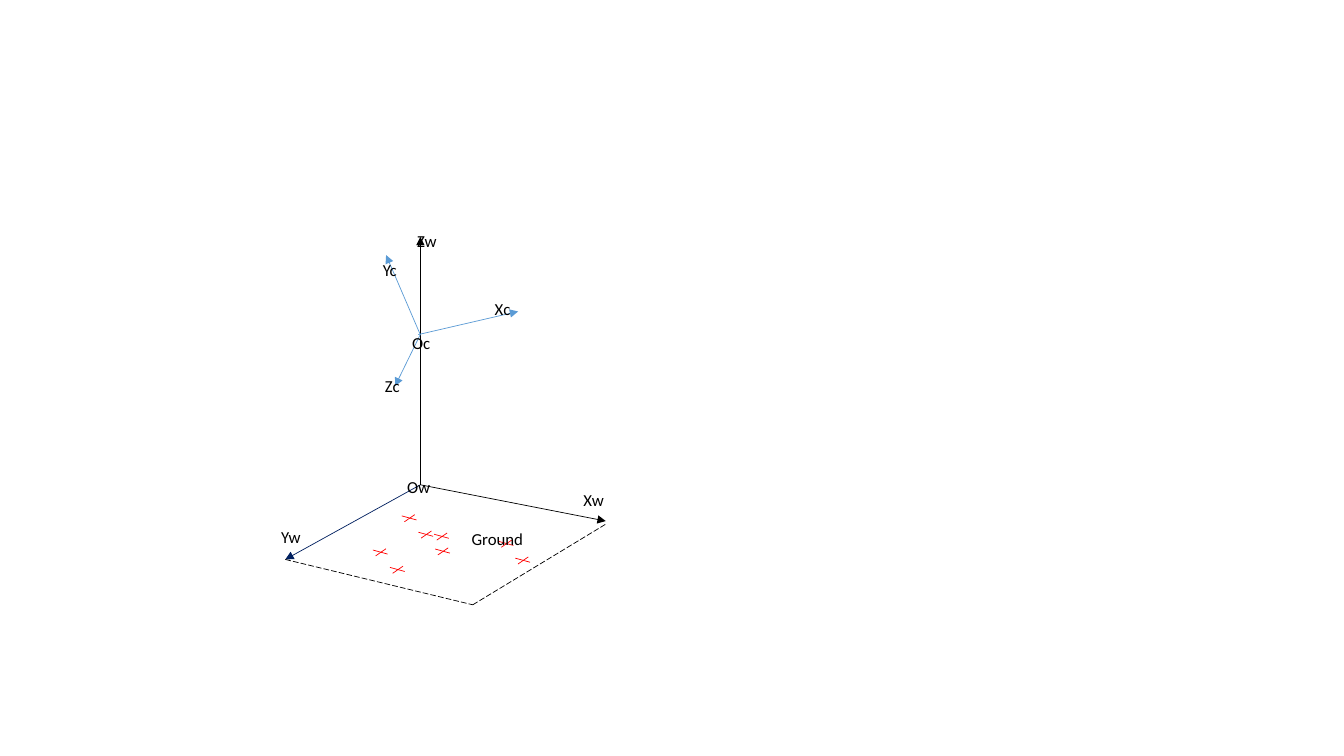
from lxml import etree
from pptx import Presentation
from pptx.dml.color import RGBColor
from pptx.enum import dml, shapes, text
from pptx.oxml.ns import qn
from pptx.util import Pt

INK = {"black": "000000", "navy": "002060", "blue": "5B9BD5", "red": "FF0000"}

# World and camera frames: start, tip, colour
WORLD = (300.3, 346.3)
CAMERA = (300.2, 239)
X_TIP, Y_TIP = (432.7, 372.2), (203.8, 399.6)
AXES = [
    (WORLD, X_TIP, "black"),
    (WORLD, Y_TIP, "navy"),
    (WORLD, (300.3, 169.2), "black"),
    ((298.8, 239), (370.1, 222.5), "blue"),
    (CAMERA, (275.8, 182.2), "blue"),
    (CAMERA, (282.2, 275.8), "blue"),
]

# Label: words, left, top, width
LABELS = [
    ("Xc", 346.3, 210.2, 32.4),
    ("Yc", 266.4, 182.2, 32.4),
    ("Zc", 267.8, 265, 32.4),
    ("Zw", 290.9, 161.3, 38.9),
    ("Xw", 409.7, 346.3, 65.5),
    ("Yw", 193.7, 373, 65.5),
    ("Ow", 283.7, 337, 65.5),
    ("Oc", 287.3, 234, 65.5),
]
GROUND = ("Ground", 329.8, 374.4, 70.6)

# Far edges of the ground plane
CORNER = (337.7, 432)
EDGES = [(Y_TIP, CORNER), (CORNER, (432.7, 374.4))]

# Left end of each ground mark, and the two strokes relative to it
MARKS = [
    (266.4, 392.9), (278.6, 405.3), (310.1, 381.6), (287, 368.5),
    (298.9, 380.2), (310.9, 392.2), (356.2, 386.7), (368.1, 398.7),
]
STROKES = [((1.9, 4.2), (9.3, -0.9)), ((0, 0), (10.5, 2.9))]

deck = Presentation()
deck.slide_width, deck.slide_height = Pt(960), Pt(540)
slide = deck.slides.add_slide(deck.slide_layouts[6])


def draw(start, end, color, dash=False, arrow=False):
    ends = [Pt(v) for v in (*start, *end)]
    line = slide.shapes.add_connector(shapes.MSO_CONNECTOR.STRAIGHT, *ends)
    line.line.width = Pt(0.5)
    line.line.color.rgb = RGBColor.from_string(INK[color])
    if dash:
        line.line.dash_style = dml.MSO_LINE.LONG_DASH
    props = line._element.spPr
    if arrow:
        etree.SubElement(props.find(qn("a:ln")), qn("a:tailEnd"), type="triangle")
    etree.SubElement(props, qn("a:effectLst"))


def write(words, left, top, width, height=21.6, size=12, color="black"):
    box = slide.shapes.add_textbox(Pt(left), Pt(top), Pt(width), Pt(height))
    frame = box.text_frame
    frame.word_wrap = True
    frame.auto_size = text.MSO_AUTO_SIZE.SHAPE_TO_FIT_TEXT
    run = frame.paragraphs[0].add_run()
    run.text = words
    run.font.name = "Calibri"
    run.font.size = Pt(size)
    run.font.color.rgb = RGBColor.from_string(INK[color])


for start, tip, color in AXES:
    draw(start, tip, color, arrow=True)
for label in LABELS:
    write(*label)
for start, end in EDGES:
    draw(start, end, "black", dash=True)
for x, y in MARKS:
    for (ax, ay), (bx, by) in STROKES:
        draw((x + ax, y + ay), (x + bx, y + by), "red")
write(*GROUND)

deck.save("out.pptx")
